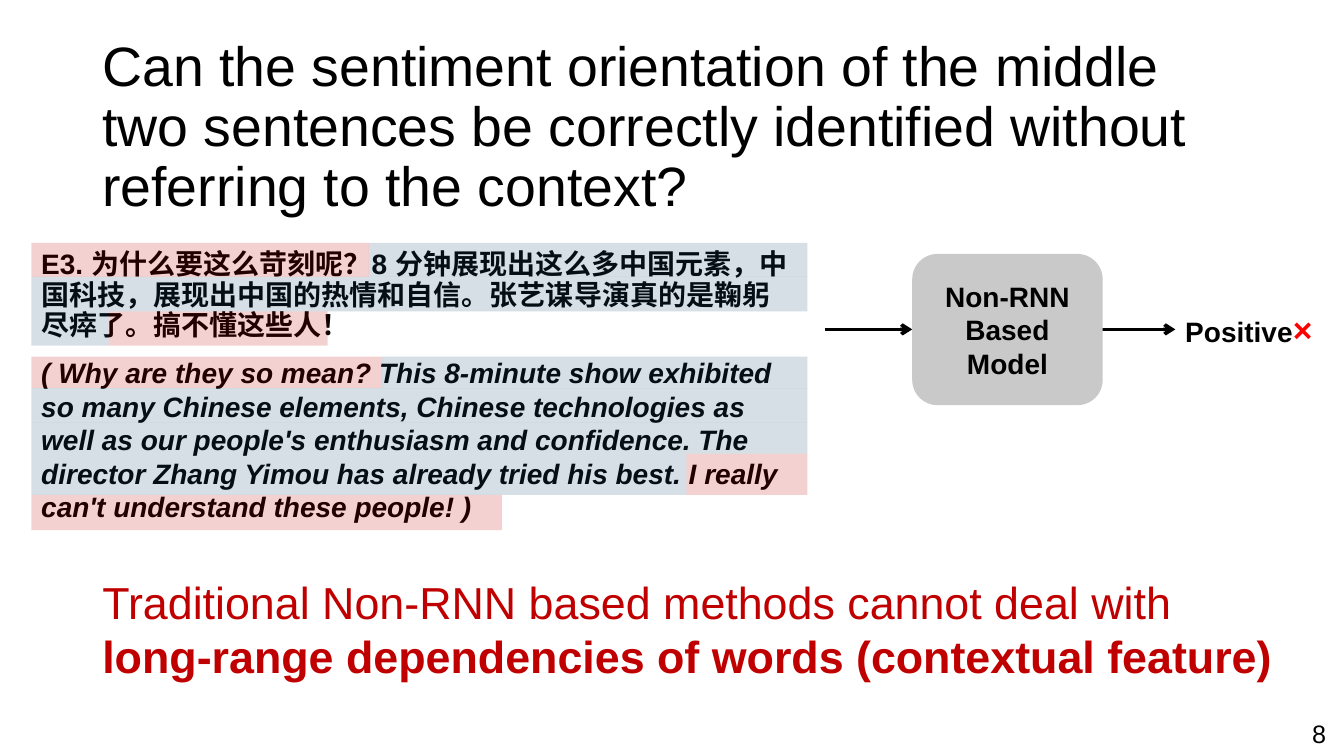
from dataclasses import dataclass

from lxml import etree
from pptx import Presentation
from pptx.dml import color
from pptx.enum import shapes, text
from pptx.oxml import ns
from pptx.util import Cm, Pt

COLORS = {"black": "000000", "red": "C00000", "blue": "1F4E79",
          "cross": "FF0000", "model": "C9C9C9"}
FONT = "Arial"
LEFT = 0.79    # left edge of the highlighted passage, cm
RIGHT = 20.35  # right edge


@dataclass
class Run:
    text: str
    size: float
    color: str = "black"
    bold: bool = False
    italic: bool = False


@dataclass
class Para:
    runs: list[Run]
    spacing: float = 1.0
    before: float = 0


@dataclass
class Label:
    box: tuple[float, float, float, float]
    paras: list[Para]
    wrap: bool = False
    middle: bool = False
    top_inset: float = 0.13


@dataclass
class HighlightRow:
    top: float
    height: float
    spans: list[tuple[str, float]]  # colour and right edge, left to right


@dataclass
class Arrow:
    start: tuple[float, float]
    end: tuple[float, float]


def rgb(name: str) -> color.RGBColor:
    return color.RGBColor.from_string(COLORS[name])


def write(tf, paras: list[Para]) -> None:
    for i, para in enumerate(paras):
        p = tf.paragraphs[0] if i == 0 else tf.add_paragraph()
        p.line_spacing = para.spacing
        p.space_before = Pt(para.before)
        for run in para.runs:
            r = p.add_run()
            r.text = run.text
            r.font.name = FONT
            r.font.size = Pt(run.size)
            r.font.bold = run.bold
            r.font.italic = run.italic
            r.font.color.rgb = rgb(run.color)


def add_label(s, label: Label) -> None:
    tf = s.shapes.add_textbox(*map(Cm, label.box)).text_frame
    tf.word_wrap = label.wrap
    tf.margin_top = Cm(label.top_inset)
    if not label.wrap:
        tf.auto_size = text.MSO_AUTO_SIZE.SHAPE_TO_FIT_TEXT
    if label.middle:
        tf.vertical_anchor = text.MSO_ANCHOR.MIDDLE
    write(tf, label.paras)


def add_block(s, kind, box: tuple[float, float, float, float], fill: str):
    sp = s.shapes.add_shape(kind, *map(Cm, box))
    sp.shadow.inherit = False
    sp.fill.solid()
    sp.fill.fore_color.rgb = rgb(fill)
    sp.line.fill.background()
    return sp


def add_highlights(s, row: HighlightRow) -> None:
    left = LEFT
    for fill, right in row.spans:
        box = (left, row.top, right - left, row.height)
        sp = add_block(s, shapes.MSO_SHAPE.RECTANGLE, box, fill)
        clr = sp.fill._xPr.find(".//" + ns.qn("a:srgbClr"))
        etree.SubElement(clr, ns.qn("a:alpha"), val="18000")
        left = right


def add_arrow(s, arrow: Arrow) -> None:
    cx = s.shapes.add_connector(shapes.MSO_CONNECTOR.STRAIGHT,
                                *map(Cm, arrow.start + arrow.end))
    cx.line.color.rgb = rgb("black")
    cx.line.width = Pt(2.5)
    etree.SubElement(cx.line._get_or_add_ln(), ns.qn("a:tailEnd"), type="arrow")
    etree.SubElement(cx._element.spPr, ns.qn("a:effectLst"))


TITLE = Label((2.33, 1.4, 29.21, 3.68), [Para([Run(
    "Can the sentiment orientation of the middle two sentences be correctly "
    "identified without referring to the context?", 39.6)], 0.9)],
    wrap=True, middle=True)

PASSAGE = Label((LEFT, 5.08, 19.56, 9.27), [
    Para([Run("E3. 为什么要这么苛刻呢？8 分钟展现出这么多中国元素，中国科技，"
              "展现出中国的热情和自信。张艺谋导演真的是鞠躬尽瘁了。搞不懂这些人！",
              20, bold=True)], 0.9),
    Para([Run("( Why are they so mean? This 8-minute show exhibited so many "
              "Chinese elements, Chinese technologies as well as our people's "
              "enthusiasm and confidence. The director Zhang Yimou has already "
              "tried his best. I really can't understand these people! )",
              20, bold=True, italic=True)], before=10),
], wrap=True, top_inset=1.24)

HIGHLIGHTS = [
    # Chinese lines
    HighlightRow(6.12, 0.86, [("red", 9.3), ("blue", RIGHT)]),
    HighlightRow(6.98, 0.87, [("blue", RIGHT)]),
    HighlightRow(7.85, 0.86, [("blue", 2.74), ("red", 8.26)]),
    # English lines
    HighlightRow(8.99, 0.79, [("red", 9.63), ("blue", RIGHT)]),
    HighlightRow(9.78, 0.86, [("blue", RIGHT)]),
    HighlightRow(10.64, 0.79, [("blue", RIGHT)]),
    HighlightRow(11.43, 1.04, [("blue", 17.3), ("red", RIGHT)]),
    HighlightRow(12.47, 0.89, [("red", 12.65)]),
]

NOTES = [
    Label((2.33, 14.35, 30.3, 3.0), [
        Para([Run("Traditional Non-RNN based methods cannot deal with", 32, "red")]),
        Para([Run("long-range dependencies of words (contextual feature)",
                  32, "red", bold=True)])]),
    Label((29.62, 7.65, 3.91, 1.27), [Para([
        Run("Positive", 20, bold=True), Run("×", 24, "cross", bold=True)])]),
    Label((32.82, 17.98, 0.86, 1.02), [Para([Run("8", 18)])]),
]

ARROWS = [Arrow((20.78, 8.3), (22.99, 8.3)), Arrow((27.77, 8.3), (29.62, 8.3))]


def main() -> None:
    prs = Presentation()
    prs.slide_width, prs.slide_height = Cm(33.87), Cm(19.05)
    s = prs.slides.add_slide(prs.slide_layouts[6])

    # Question and example passage
    add_label(s, TITLE)
    add_label(s, PASSAGE)
    for row in HIGHLIGHTS:
        add_highlights(s, row)

    # Conclusion, verdict and page number
    for label in NOTES:
        add_label(s, label)

    # Model and its input and output
    for arrow in ARROWS:
        add_arrow(s, arrow)
    model = add_block(s, shapes.MSO_SHAPE.ROUNDED_RECTANGLE,
                      (22.99, 6.4, 4.8, 3.81), "model")
    tf = model.text_frame
    tf.word_wrap = True
    tf.vertical_anchor = text.MSO_ANCHOR.MIDDLE
    write(tf, [Para([Run("Non-RNN Based Model", 20, bold=True)])])
    tf.paragraphs[0].alignment = text.PP_ALIGN.CENTER

    prs.save("out.pptx")


if __name__ == "__main__":
    main()
